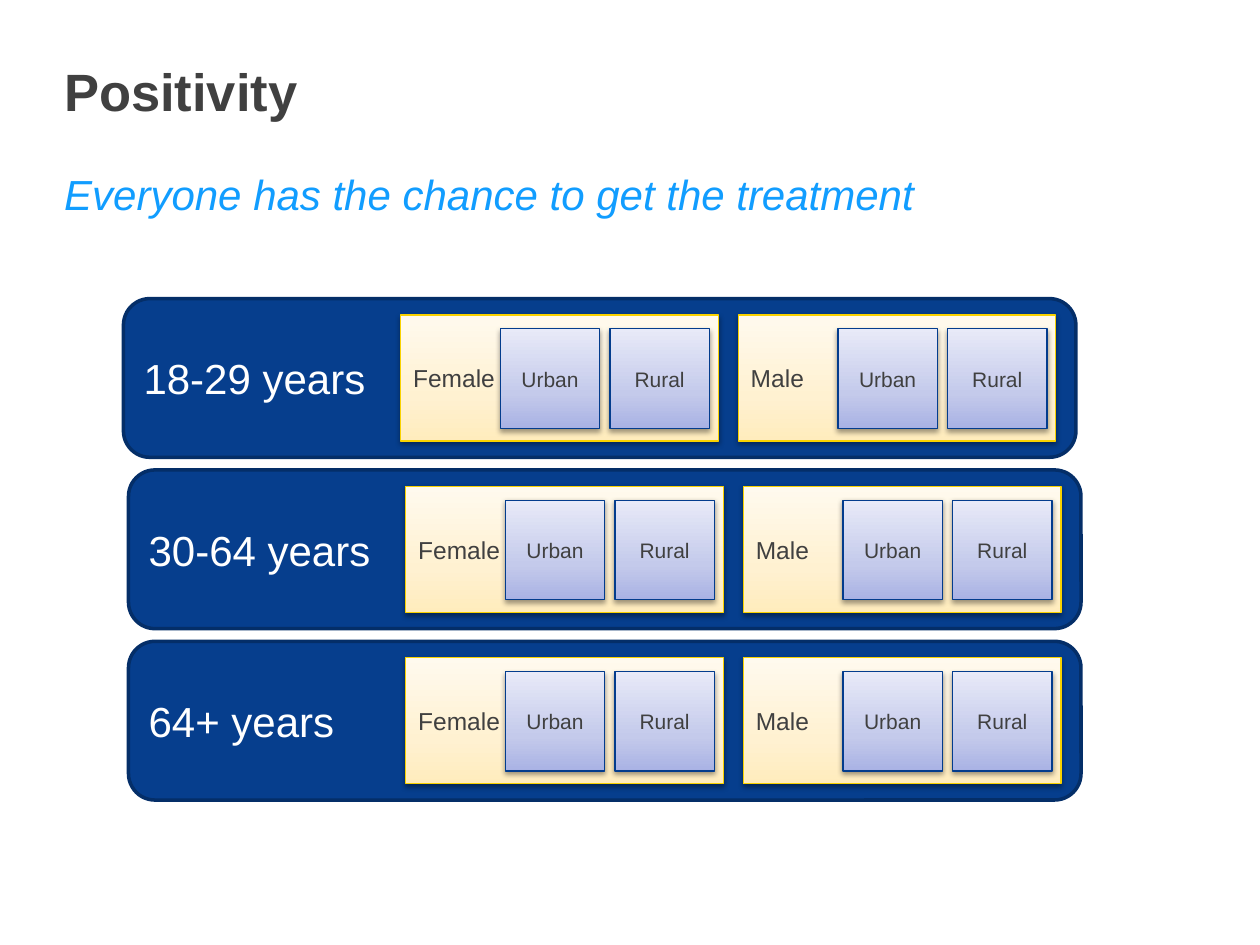
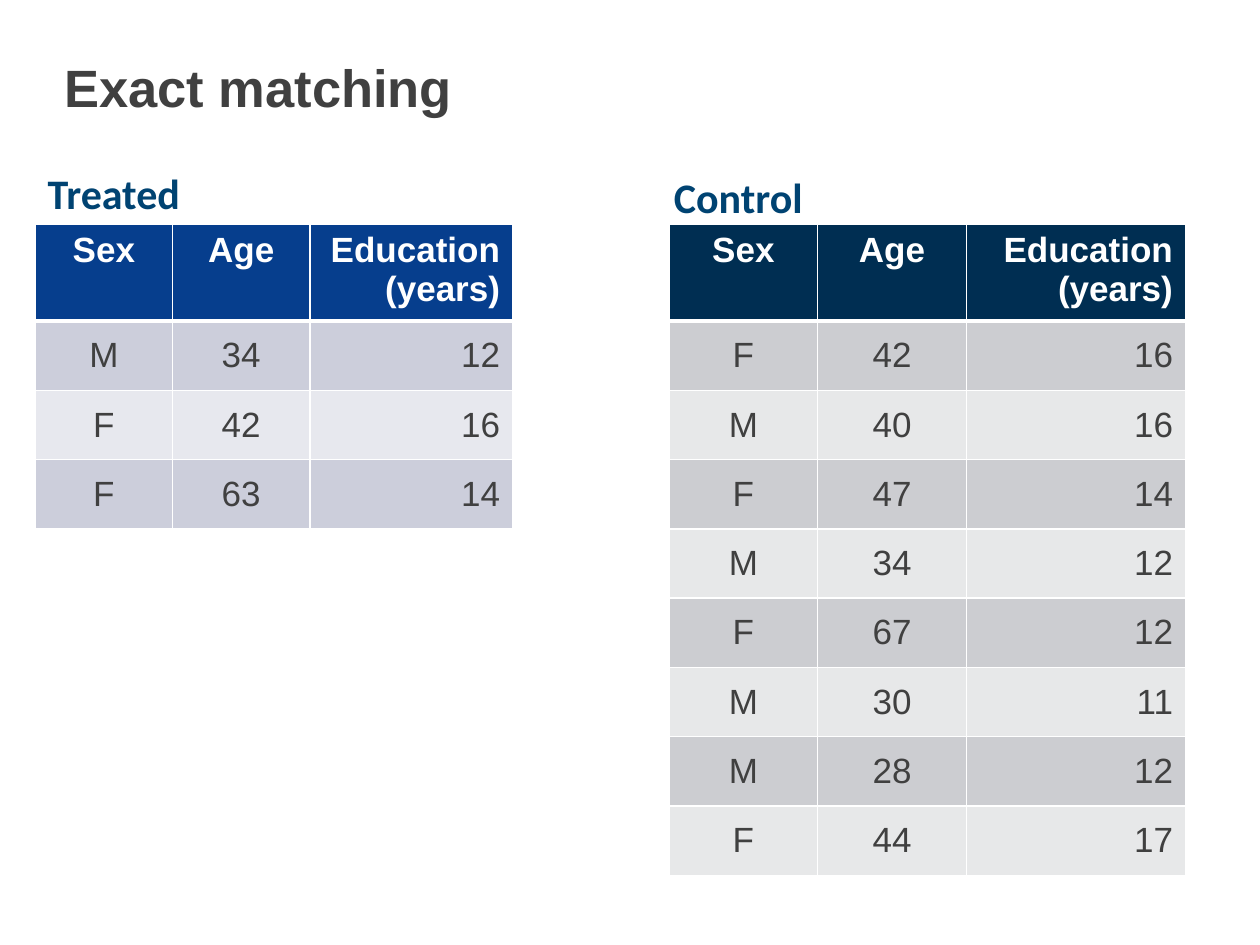
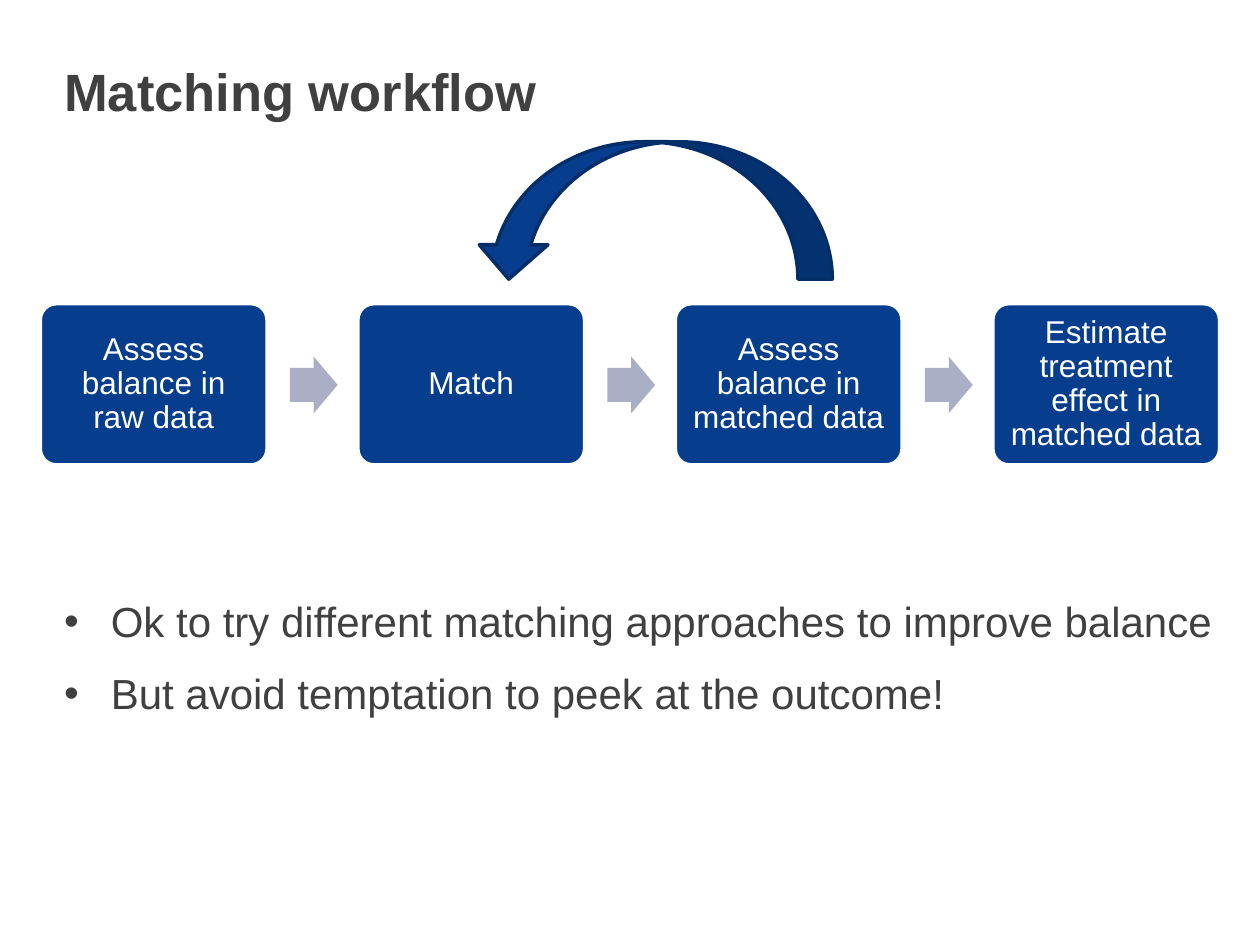
"""Build three slides on positivity, exact matching and the matching workflow."""
import lxml.etree
import pptx
import pptx.dml.color
import pptx.enum.shapes
import pptx.enum.text
import pptx.oxml.ns
import pptx.util

Inches = pptx.util.Inches
Pt = pptx.util.Pt
RGBColor = pptx.dml.color.RGBColor
MSO_SHAPE = pptx.enum.shapes.MSO_SHAPE
PP_ALIGN = pptx.enum.text.PP_ALIGN
MSO_ANCHOR = pptx.enum.text.MSO_ANCHOR
qn = pptx.oxml.ns.qn

WHITE = RGBColor(0xFF, 0xFF, 0xFF)
BLACK = RGBColor(0, 0, 0)
GREY = RGBColor(0x40, 0x40, 0x40)
SKY = RGBColor(0x11, 0x9D, 0xFF)
BLUE = RGBColor(0x06, 0x3E, 0x8D)
BLUE_EDGE = RGBColor(0x04, 0x2E, 0x68)
LILAC_EDGE = RGBColor(0x03, 0x3C, 0x8D)
YELLOW = RGBColor(0xF9, 0xD2, 0x00)
TEAL = RGBColor(0x00, 0x43, 0x72)
NAVY = RGBColor(0x00, 0x2E, 0x52)
ARROW = RGBColor(0xAB, 0xAF, 0xC5)
BLUE_BANDS = (RGBColor(0xCC, 0xCE, 0xDB), RGBColor(0xE7, 0xE8, 0xEE))
NAVY_BANDS = (RGBColor(0xCC, 0xCD, 0xD1), RGBColor(0xE7, 0xE8, 0xE9))
CREAM = ((0, RGBColor(0xFF, 0xEC, 0xBD)), (35, RGBColor(0xFF, 0xF1, 0xD1)),
         (100, RGBColor(0xFF, 0xFA, 0xEE)))
LILAC = ((0, RGBColor(0xA9, 0xB2, 0xE4)), (35, RGBColor(0xC4, 0xCA, 0xEB)),
         (100, RGBColor(0xE8, 0xEA, 0xF8)))


def add_xml(parent, tag, **attrs):
    return lxml.etree.SubElement(parent, qn(tag), {k: str(v) for k, v in attrs.items()})


def write(tf, text, size=24, color=GREY, font="Arial", bold=False, italic=False,
          align=PP_ALIGN.LEFT, anchor=MSO_ANCHOR.TOP, inset=None, before=None,
          spacing=None, bullet=None):
    tf.word_wrap = True
    tf.vertical_anchor = anchor
    if inset is not None:
        tf.margin_left = tf.margin_right = tf.margin_top = tf.margin_bottom = Inches(inset)
    for i, line in enumerate(text.split("\n")):
        p = tf.add_paragraph() if i else tf.paragraphs[0]
        p.alignment = align
        if before is not None:
            p.space_before = Pt(before)
        if spacing is not None:
            p.line_spacing = spacing
        if bullet:
            pPr = p._p.get_or_add_pPr()
            pPr.set("marL", str(Inches(0.37)))
            pPr.set("indent", str(-Inches(0.37)))
            add_xml(pPr, "a:buFont", typeface="Arial")
            add_xml(pPr, "a:buChar", char=bullet)
        r = p.add_run()
        r.text = line
        r.font.name = font
        r.font.size = Pt(size)
        r.font.bold = bold
        r.font.italic = italic
        r.font.color.rgb = color


class Deck:
    def __init__(self):
        self.prs = pptx.Presentation()
        self.prs.slide_width = Inches(10)
        self.prs.slide_height = Inches(7.5)
        self.s = None

    def slide(self, title, top=0.47):
        self.s = self.prs.slides.add_slide(self.prs.slide_layouts[6])
        self.text(title, 0.51, top, 8.98, 0.5, size=30, bold=True, inset=0)

    def text(self, text, x, y, w, h, **fmt):
        sp = self.s.shapes.add_textbox(Inches(x), Inches(y), Inches(w), Inches(h))
        write(sp.text_frame, text, **fmt)

    def shape(self, kind, x, y, w, h, fill=BLUE, line=BLUE_EDGE, width=2, adj=(),
              text=None, parent=None, **fmt):
        shapes = (parent or self.s).shapes
        sp = shapes.add_shape(kind, Inches(x), Inches(y), Inches(w), Inches(h))
        sp.shadow.inherit = False
        for i, value in enumerate(adj):
            sp.adjustments[i] = value
        sp.fill.solid()
        sp.fill.fore_color.rgb = fill
        if line is None:
            sp.line.fill.background()
        else:
            sp.line.color.rgb = line
            sp.line.width = Pt(width)
        if text:
            write(sp.text_frame, text, anchor=MSO_ANCHOR.MIDDLE, **fmt)
        return sp

    def card(self, x, y, w, h, stops, **fmt):
        sp = self.shape(MSO_SHAPE.RECTANGLE, x, y, w, h, width=0.75, **fmt)
        sp.fill.gradient()
        sp.fill.gradient_angle = 90
        spPr = sp._element.spPr
        gsLst = spPr.find(".//" + qn("a:gsLst"))
        for gs in list(gsLst):
            gsLst.remove(gs)
        for pos, color in stops:
            add_xml(add_xml(gsLst, "a:gs", pos=pos * 1000), "a:srgbClr", val=color)
        shadow = add_xml(spPr.find(qn("a:effectLst")), "a:outerShdw", blurRad=Pt(3.1),
                         dist=Pt(1.6), dir=5400000, rotWithShape=0)
        add_xml(add_xml(shadow, "a:srgbClr", val=BLACK), "a:alpha", val=38000)

    def age_band(self, label, x, y):
        group = self.s.shapes.add_group_shape()
        self.shape(MSO_SHAPE.ROUNDED_RECTANGLE, x, y, 7.56, 1.26, text=label,
                   color=WHITE, parent=group)
        for i, sex in enumerate(("Female", "Male")):
            left = x + 2.2 + 2.68 * i
            self.card(left, y + 0.13, 2.52, 1, CREAM, line=YELLOW, text=sex, size=14,
                      parent=group)
            for j, area in enumerate(("Urban", "Rural")):
                self.card(left + 0.79 + 0.87 * j, y + 0.24, 0.79, 0.79, LILAC,
                          line=LILAC_EDGE, text=area, size=12, align=PP_ALIGN.CENTER,
                          parent=group)

    def table(self, x, y, widths, rows, head, bands):
        rows = [("Sex", "Age", "Education (years)")] + rows
        height = 0.55
        tbl = self.s.shapes.add_table(len(rows), len(widths), Inches(x), Inches(y),
                                      Inches(sum(widths)), Inches(height * len(rows))).table
        for col, w in zip(tbl.columns, widths):
            col.width = Inches(w)
        for i, row in enumerate(rows):
            for j, value in enumerate(row):
                cell = tbl.cell(i, j)
                cell.fill.solid()
                cell.fill.fore_color.rgb = bands[(i - 1) % 2] if i else head
                write(cell.text_frame, value, size=20, color=GREY if i else WHITE,
                      bold=i == 0, align=PP_ALIGN.RIGHT if j == 2 else PP_ALIGN.CENTER)
                cell.vertical_anchor = MSO_ANCHOR.MIDDLE if i else MSO_ANCHOR.TOP
                self.borders(cell, top=3 if i == 1 else 1, bottom=1 if i else 3)

    def borders(self, cell, top, bottom):
        tcPr = cell._tc.get_or_add_tcPr()
        sides = (("a:lnL", 1), ("a:lnR", 1), ("a:lnT", top), ("a:lnB", bottom))
        for i, (tag, width) in enumerate(sides):
            ln = add_xml(tcPr, tag, w=Pt(width))
            add_xml(add_xml(ln, "a:solidFill"), "a:srgbClr", val=WHITE)
            tcPr.insert(i, ln)


def positivity(deck):
    deck.slide("Positivity")
    deck.text("Everyone has the chance to get the treatment", 0.51, 1.34, 8.98, 0.68,
              color=SKY, italic=True, inset=0, before=12)
    bands = (("18-29 years", 0.98), ("30-64 years", 1.02), ("64+ years", 1.02))
    for i, (label, x) in enumerate(bands):
        deck.age_band(label, x, 2.37 + 1.36 * i)


def exact_matching(deck):
    deck.slide("Exact matching", top=0.44)
    treated = [("M", "34", "12"), ("F", "42", "16"), ("F", "63", "14")]
    control = [("F", "42", "16"), ("M", "40", "16"), ("F", "47", "14"), ("M", "34", "12"),
               ("F", "67", "12"), ("M", "30", "11"), ("M", "28", "12"), ("F", "44", "17")]
    deck.table(0.28, 1.78, (1.09, 1.09, 1.61), treated, BLUE, BLUE_BANDS)
    deck.table(5.31, 1.78, (1.18, 1.18, 1.74), control, NAVY, NAVY_BANDS)
    label = dict(font="Calibri", color=TEAL, bold=True)
    deck.text("Treated", 0.28, 1.28, 1.65, 0.5, **label)
    deck.text("Control", 5.25, 1.31, 1.48, 0.5, **label)


def workflow(deck):
    deck.slide("Matching workflow")
    deck.text("Ok to try different matching approaches to improve balance\n"
              "But avoid temptation to peek at the outcome!",
              0.51, 4.73, 9.37, 1.09, inset=0, before=12, bullet="•")
    steps = ("Assess balance in raw data", "Match", "Assess balance in matched data",
             "Estimate treatment effect in matched data")
    for i, step in enumerate(steps):
        x = 0.32 + 2.52 * i
        if i:
            deck.shape(MSO_SHAPE.RIGHT_ARROW, x - 0.54, 2.83, 0.38, 0.45, fill=ARROW,
                       line=None, adj=(0.6, 0.5))
        deck.shape(MSO_SHAPE.ROUNDED_RECTANGLE, x, 2.41, 1.8, 1.28, line=WHITE,
                   adj=(0.1,), text=step, size=18, color=WHITE, inset=0.07,
                   align=PP_ALIGN.CENTER, spacing=0.9)
    loop = deck.shape(MSO_SHAPE.CURVED_RIGHT_ARROW, 4.64, 0.25, 1.09, 2.84)
    loop.rotation = 90


def main():
    deck = Deck()
    positivity(deck)
    exact_matching(deck)
    workflow(deck)
    deck.prs.save("out.pptx")


if __name__ == "__main__":
    main()
